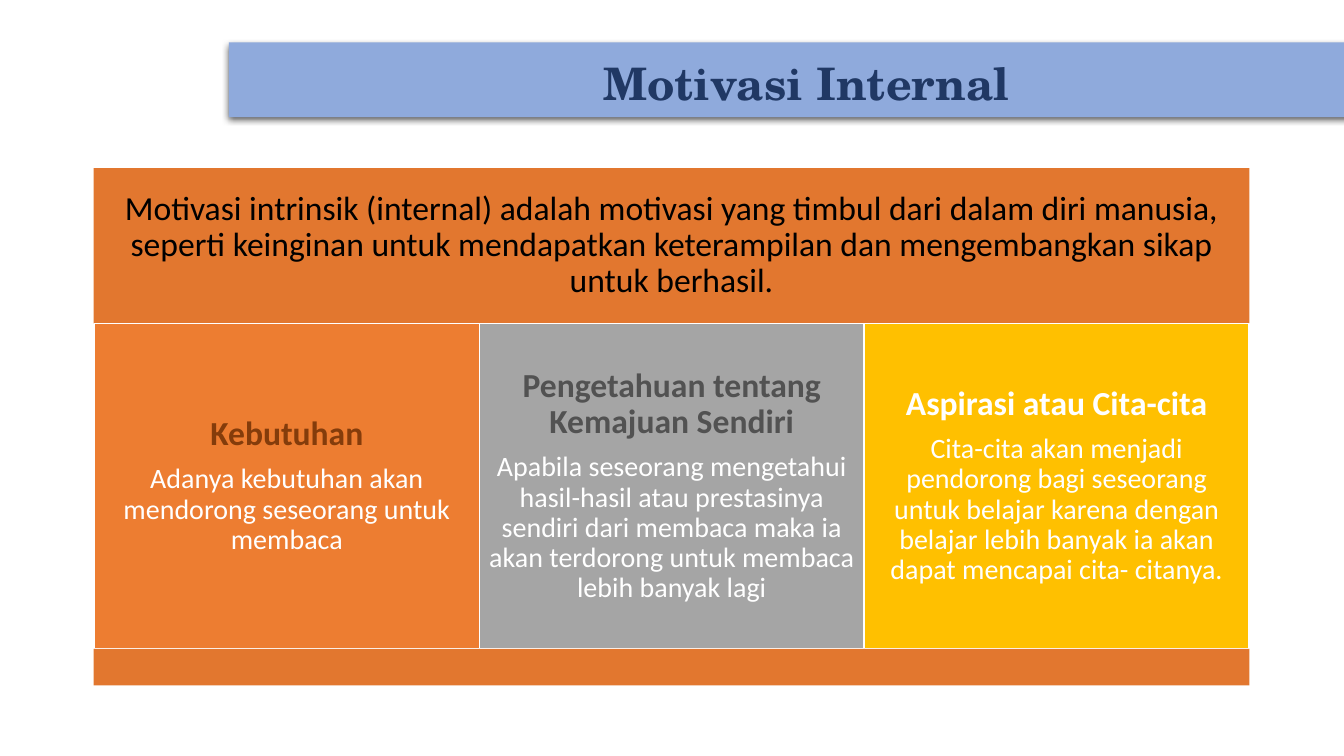
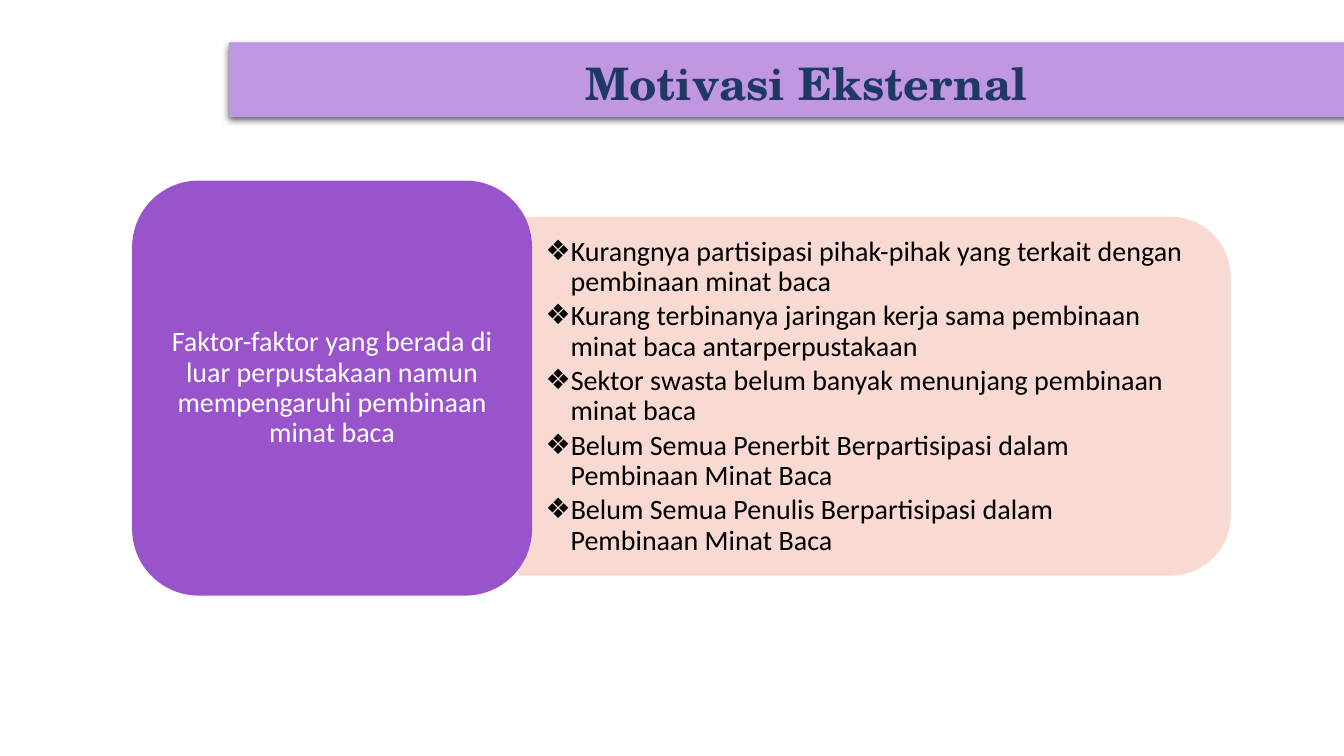
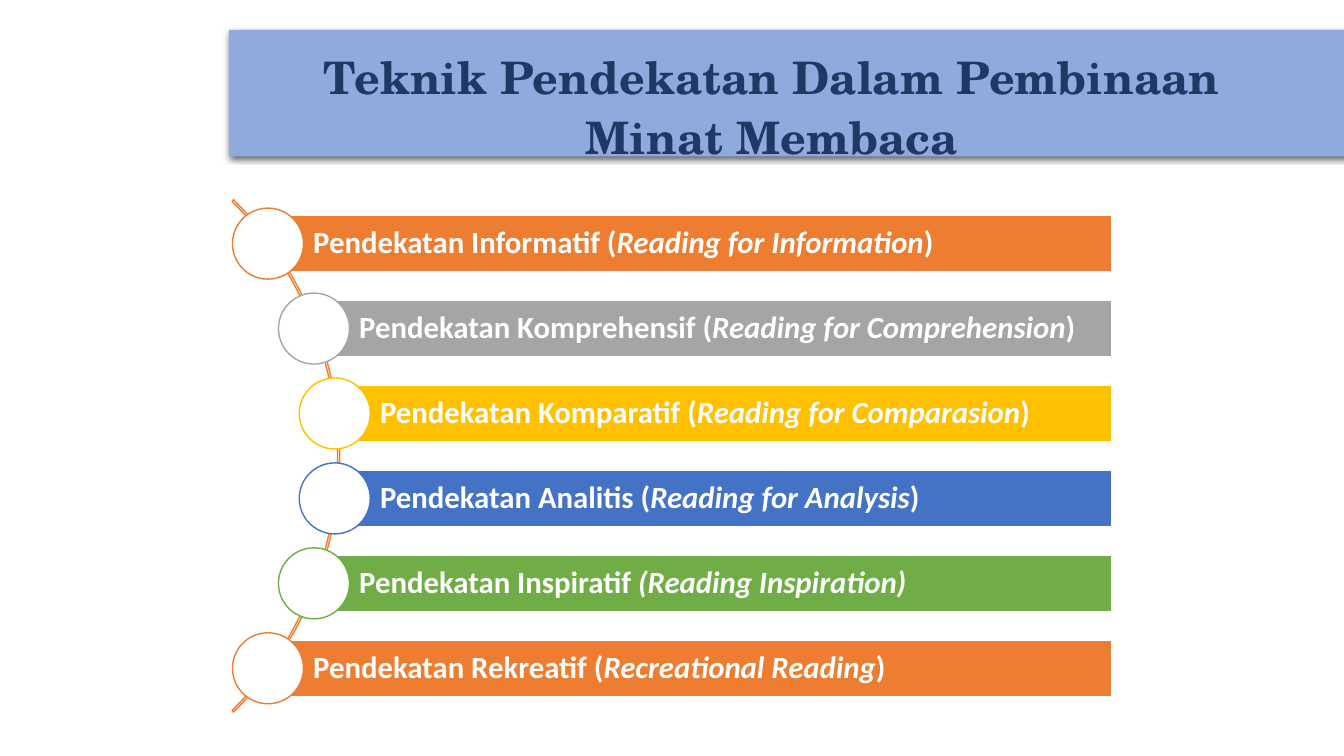
from dataclasses import dataclass
from math import sqrt

from lxml.etree import SubElement
from pptx import Presentation
from pptx.dml.color import RGBColor
from pptx.enum.shapes import MSO_SHAPE
from pptx.enum.text import MSO_ANCHOR, MSO_AUTO_SIZE, PP_ALIGN
from pptx.oxml import parse_xml
from pptx.oxml.ns import nsdecls, qn
from pptx.util import Cm, Pt

COLORS = {
    "blue_band": "8FAADC", "purple_band": "C197E1", "navy": "203864",
    "dark_orange": "E2772F", "orange": "ED7D31", "gray": "A5A5A5",
    "gold": "FFC000", "blue": "4472C4", "green": "70AD47",
    "brown": "843C0B", "charcoal": "525252", "purple": "9954CC",
    "peach": "F8D7CE", "white": "FFFFFF", "black": "000000",
}
BODY_FONT, TITLE_FONT = "Calibri", "TeX Gyre Schola"
TITLE_ONLY, TITLE_AND_CONTENT = 5, 1


@dataclass(frozen=True)
class Box:
    """A rectangle in centimetres."""
    left: float
    top: float
    width: float
    height: float

    def emu(self):
        return Cm(self.left), Cm(self.top), Cm(self.width), Cm(self.height)


@dataclass(frozen=True)
class Motive:
    heading: str
    detail: str
    fill: str
    heading_color: str


@dataclass(frozen=True)
class Approach:
    name: str
    english: str
    closing: str
    color: str


MOTIVES = (
    Motive("Kebutuhan", "Adanya kebutuhan akan mendorong seseorang untuk membaca",
           "orange", "brown"),
    Motive("Pengetahuan tentang Kemajuan Sendiri",
           "Apabila seseorang mengetahui hasil-hasil atau prestasinya sendiri dari "
           "membaca maka ia akan terdorong untuk membaca lebih banyak lagi",
           "gray", "charcoal"),
    Motive("Aspirasi atau Cita-cita",
           "Cita-cita akan menjadi pendorong bagi seseorang untuk belajar karena "
           "dengan belajar lebih banyak ia akan dapat mencapai cita- citanya.",
           "gold", "white"),
)
EXTERNAL_FACTORS = (
    "Kurangnya partisipasi pihak-pihak yang terkait dengan pembinaan minat baca",
    "Kurang terbinanya jaringan kerja sama pembinaan minat baca antarperpustakaan",
    "Sektor swasta belum banyak menunjang pembinaan minat baca",
    "Belum Semua Penerbit Berpartisipasi dalam Pembinaan Minat Baca",
    "Belum Semua Penulis Berpartisipasi dalam Pembinaan Minat Baca",
)
APPROACHES = (
    Approach("Pendekatan Informatif (", "Reading for Information", ")", "orange"),
    Approach("Pendekatan Komprehensif (", "Reading for Comprehension", ")", "gray"),
    Approach("Pendekatan Komparatif (", "Reading for Comparasion", ")", "gold"),
    Approach("Pendekatan Analitis (", "Reading for Analysis", ")", "blue"),
    Approach("Pendekatan Inspiratif ", "(Reading Inspiration)", "", "green"),
    Approach("Pendekatan Rekreatif (", "Recreational Reading", ")", "orange"),
)


def rgb(color: str) -> RGBColor:
    return RGBColor.from_string(COLORS[color])


def write(paragraph, text: str, *, size: int, color: str, font: str = BODY_FONT,
          bold: bool = False, italic: bool = False, align=PP_ALIGN.CENTER,
          line: float = 0.9, after: float = 0.35) -> None:
    """Add a run; space after is a share of the text size."""
    paragraph.alignment = align
    paragraph.line_spacing = line
    paragraph.space_before = Pt(0)
    paragraph.space_after = Pt(round(size * after, 1))
    run = paragraph.add_run()
    run.text = text
    run.font.name, run.font.size = font, Pt(size)
    run.font.bold, run.font.italic = bold, italic
    run.font.color.rgb = rgb(color)


def set_frame(frame, margins: tuple, anchor=MSO_ANCHOR.MIDDLE) -> None:
    """Margins are left, top, right, bottom in centimetres."""
    frame.word_wrap = True
    frame.auto_size = MSO_AUTO_SIZE.NONE
    frame.vertical_anchor = anchor
    (frame.margin_left, frame.margin_top,
     frame.margin_right, frame.margin_bottom) = map(Cm, margins)


def place(placeholder, box: Box) -> None:
    (placeholder.left, placeholder.top,
     placeholder.width, placeholder.height) = box.emu()


def add_box(slide, kind, box: Box, fill: str = "", line: str = "",
            margins: tuple = (0.25,) * 4):
    shape = slide.shapes.add_shape(kind, *box.emu())
    shape.shadow.inherit = False
    if fill:
        shape.fill.solid()
        shape.fill.fore_color.rgb = rgb(fill)
    else:
        shape.fill.background()
    if line:
        shape.line.color.rgb = rgb(line)
        shape.line.width = Pt(1)
    else:
        shape.line.fill.background()
    set_frame(shape.text_frame, margins)
    return shape


def add_titled_slide(deck, layout: int, title: str, band: str, *, top: float = 1.07,
                     height: float = 1.88, indent: float = 0, right: float = 0,
                     line: float = 1):
    """Start a slide whose title is a rounded band running off the right edge."""
    slide = deck.slides.add_slide(deck.slide_layouts[layout])
    heading = slide.shapes.title
    place(heading, Box(5.77, top, 29.13, height))
    properties = heading.element.spPr
    properties.append(parse_xml(
        f'<a:prstGeom {nsdecls("a")} prst="roundRect"><a:avLst/></a:prstGeom>'))
    heading.fill.solid()
    heading.fill.fore_color.rgb = rgb(band)
    heading.shadow.inherit = False
    properties.find(qn("a:effectLst")).append(parse_xml(
        f'<a:outerShdw {nsdecls("a")} blurRad="57150" dist="19050" dir="5400000" '
        'algn="ctr" rotWithShape="0"><a:srgbClr val="000000">'
        '<a:alpha val="63000"/></a:srgbClr></a:outerShdw>'))
    set_frame(heading.text_frame, (indent, 0.33, right, 0), MSO_ANCHOR.TOP)
    write(heading.text_frame.paragraphs[0], title, size=32, color="navy",
          font=TITLE_FONT, bold=True, line=line, after=0)
    return slide


def add_bullet(paragraph, symbol: str, indent: float) -> None:
    properties = paragraph._p.get_or_add_pPr()
    properties.set("marL", str(Cm(indent)))
    properties.set("indent", str(-Cm(indent)))
    SubElement(properties, qn("a:buChar")).set("char", symbol)


def build_internal(deck) -> None:
    slide = add_titled_slide(deck, TITLE_ONLY, "Motivasi Internal", "blue_band")
    definition = add_box(slide, MSO_SHAPE.RECTANGLE, Box(2.36, 4.24, 29.13, 3.91),
                         "dark_orange")
    write(definition.text_frame.paragraphs[0],
          "Motivasi intrinsik (internal) adalah motivasi yang timbul dari dalam diri "
          "manusia, seperti keinginan untuk mendapatkan keterampilan dan "
          "mengembangkan sikap untuk berhasil.", size=24, color="black")
    width = 9.7
    for column, motive in enumerate(MOTIVES):
        card = add_box(slide, MSO_SHAPE.RECTANGLE,
                       Box(2.38 + column * width, 8.15, width, 8.2),
                       motive.fill, "white")
        frame = card.text_frame
        write(frame.paragraphs[0], motive.heading, size=24,
              color=motive.heading_color, bold=True)
        write(frame.add_paragraph(), motive.detail, size=20, color="white")
    add_box(slide, MSO_SHAPE.RECTANGLE, Box(2.36, 16.35, 29.13, 0.92), "dark_orange")


def build_external(deck) -> None:
    slide = add_titled_slide(deck, TITLE_AND_CONTENT, "Motivasi Eksternal",
                             "purple_band")
    panel = add_box(slide, MSO_SHAPE.ROUND_2_SAME_RECTANGLE,
                    Box(17.53, 1.02, 9.02, 17.93), "peach", "peach")
    panel.rotation = 90
    panel.line.width = Pt(0.5)
    for color in panel.element.spPr.iter(qn("a:srgbClr")):
        SubElement(color, qn("a:alpha")).set("val", "90000")

    factors = slide.placeholders[1]
    place(factors, Box(13.06, 5.92, 17.48, 8.15))
    slide.shapes.element.append(factors.element)  # bring the list above its panel
    frame = factors.text_frame
    set_frame(frame, (0.69, 0.36, 0.69, 0.36))
    for index, factor in enumerate(EXTERNAL_FACTORS):
        paragraph = frame.add_paragraph() if index else frame.paragraphs[0]
        write(paragraph, factor, size=20, color="black", align=PP_ALIGN.LEFT,
              after=0.15)
        add_bullet(paragraph, "❖", 0.63)

    summary = add_box(slide, MSO_SHAPE.ROUNDED_RECTANGLE,
                      Box(3.33, 4.55, 10.08, 10.46), "purple",
                      margins=(0.2, 0.1, 0.2, 0.1))
    write(summary.text_frame.paragraphs[0],
          "Faktor-faktor yang berada di luar perpustakaan namun mempengaruhi "
          "pembinaan minat baca", size=20, color="white")


def build_approaches(deck) -> None:
    slide = add_titled_slide(deck, TITLE_ONLY,
                             "Teknik Pendekatan Dalam Pembinaan Minat Membaca",
                             "blue_band", top=0.76, height=3.18, indent=1.27,
                             right=3.02, line=1.12)
    center_x, center_y, diameter = -0.57, 11.49, 18.26
    arc = add_box(slide, MSO_SHAPE.BLOCK_ARC,
                  Box(center_x - diameter / 2, center_y - diameter / 2,
                      diameter, diameter), line="orange")
    for index, value in enumerate((189, 27, 0.003)):
        arc.adjustments[index] = value

    radius, pitch, bar_height, bar_right, dot = 9.07, 2.14, 1.42, 28.02, 1.79
    for row, approach in enumerate(APPROACHES):
        offset = (row - (len(APPROACHES) - 1) / 2) * pitch
        x, y = center_x + sqrt(radius ** 2 - offset ** 2), center_y + offset
        bar = add_box(slide, MSO_SHAPE.RECTANGLE,
                      Box(x, y - bar_height / 2, bar_right - x, bar_height),
                      approach.color, "white", (1.14, 0.15, 0.15, 0.15))
        for text, italic in ((approach.name, False), (approach.english, True),
                             (approach.closing, False)):
            if text:
                write(bar.text_frame.paragraphs[0], text, size=22, color="white",
                      bold=True, italic=italic, align=PP_ALIGN.LEFT)
        add_box(slide, MSO_SHAPE.OVAL, Box(x - dot / 2, y - dot / 2, dot, dot),
                "white", approach.color)


def main() -> None:
    deck = Presentation()
    deck.slide_width, deck.slide_height = Cm(33.87), Cm(19.05)
    build_internal(deck)
    build_external(deck)
    build_approaches(deck)
    deck.save("out.pptx")


if __name__ == "__main__":
    main()
